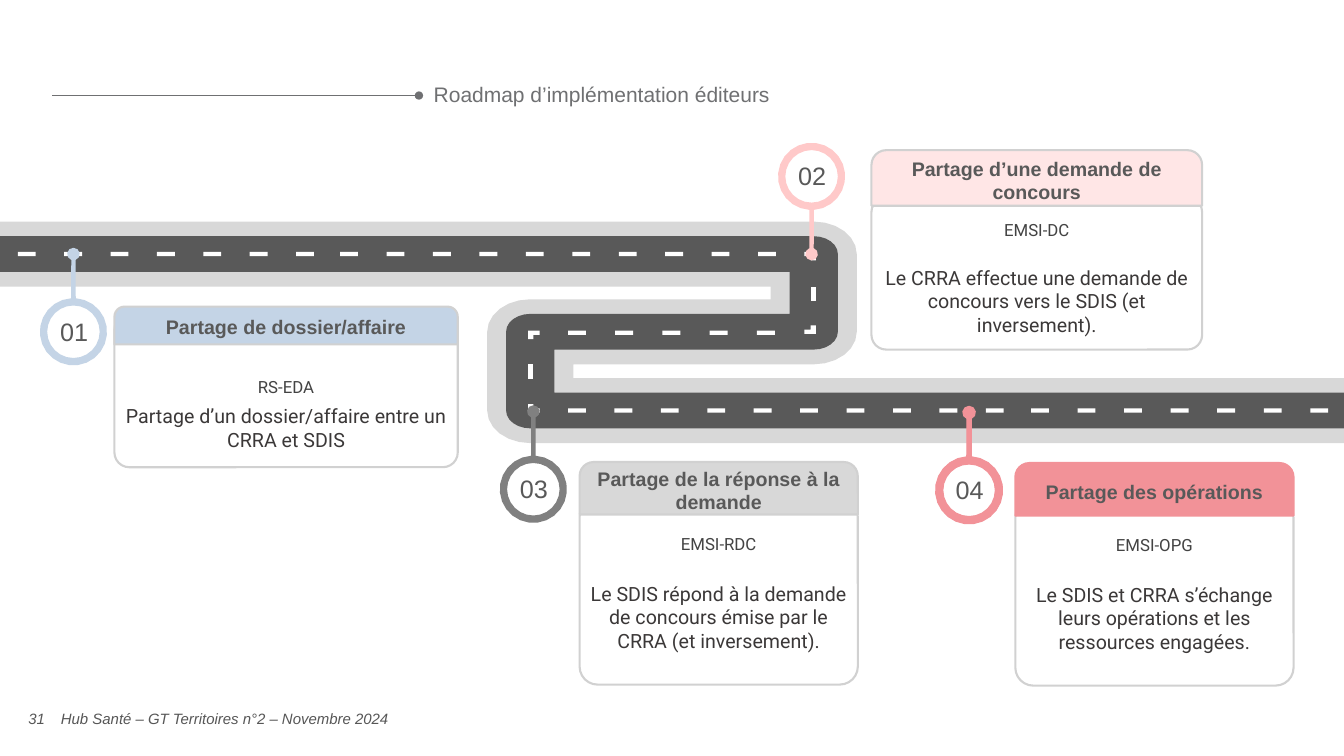
from math import cos, radians, sin

from lxml.etree import SubElement
from pptx import Presentation
from pptx.dml.color import RGBColor
from pptx.enum.shapes import MSO_CONNECTOR, MSO_SHAPE
from pptx.enum.text import MSO_ANCHOR, PP_ALIGN
from pptx.oxml.ns import qn
from pptx.util import Pt

PX = 9525  # EMU per px, 96 px to the inch
FINE = 100  # freeform units per px

WHITE = RGBColor(0xFF, 0xFF, 0xFF)
ROADSIDE = RGBColor(0xD8, 0xD8, 0xD8)
ASPHALT = RGBColor(0x59, 0x59, 0x59)
BORDER = RGBColor(0xD1, 0xD1, 0xD1)
TITLE_GREY = RGBColor(0x6F, 0x70, 0x72)
FOOTER_GREY = RGBColor(0x57, 0x57, 0x57)
CODE_GREY = RGBColor(0x43, 0x43, 0x43)
BODY_GREY = RGBColor(0x3B, 0x38, 0x38)
BLUE = RGBColor(0xC4, 0xD4, 0xE6)
PINK = RGBColor(0xFF, 0xC9, 0xC9)
PALE_PINK = RGBColor(0xFF, 0xE6, 0xE6)
GREY = RGBColor(0x80, 0x80, 0x80)
CORAL = RGBColor(0xF2, 0x92, 0x98)

STYLES = {
    "title": (TITLE_GREY, {"name": "Arial", "size": Pt(15), "bold": False}),
    "footer": (FOOTER_GREY, {"name": "Arial", "size": Pt(10.7), "italic": True}),
    "header": (ASPHALT, {"name": "Arial", "size": Pt(14), "bold": True}),
    "number": (ASPHALT, {"name": "Arial", "size": Pt(18)}),
    "code": (CODE_GREY, {"name": "Roboto", "size": Pt(12)}),
    "description": (BODY_GREY, {"name": "Roboto", "size": Pt(14)}),
}


def arc(center_x, center_y, radius_x, radius_y, start, end):
    """Points along an ellipse, angles in degrees, y pointing down."""
    steps = abs(end - start) // (15 if radius_x > 10 else 40)
    angles = [radians(start + (end - start) * i / steps) for i in range(steps + 1)]
    return [(center_x + radius_x * cos(a), center_y + radius_y * sin(a)) for a in angles]


def write(shape, text, style, align, anchor, margins):
    """Fill a shape with one paragraph; margins are left, top, right, bottom in px."""
    frame = shape.text_frame
    frame.word_wrap = True
    frame.vertical_anchor = anchor
    for side, margin in zip(("left", "top", "right", "bottom"), margins):
        setattr(frame, f"margin_{side}", margin * PX)
    paragraph = frame.paragraphs[0]
    paragraph.text = text
    paragraph.alignment = align
    color, font_values = STYLES[style]
    for name, value in font_values.items():
        setattr(paragraph.font, name, value)
    paragraph.font.color.rgb = color
    return paragraph


presentation = Presentation()
presentation.slide_width = 1280 * PX
presentation.slide_height = 720 * PX
slide = presentation.slides.add_slide(presentation.slide_layouts[5])
shapes = slide.shapes

# Title and its rule
title = shapes.title
title.left, title.top, title.width, title.height = (v * PX for v in (403, 75, 741, 32))
paragraph = write(title, "Roadmap d’implémentation éditeurs", "title",
                  PP_ALIGN.LEFT, MSO_ANCHOR.MIDDLE, (10, 5, 10, 5))
paragraph.line_spacing = 0.9

rule = shapes.add_connector(MSO_CONNECTOR.STRAIGHT, 50 * PX, 91 * PX, 399 * PX, 91 * PX)
rule.line.color.rgb = TITLE_GREY
rule.line.width = Pt(0.5)
SubElement(rule._element.spPr.find(qn("a:ln")), qn("a:tailEnd"), type="oval")
SubElement(rule._element.spPr, qn("a:effectLst"))

# Footer
for left, width, text, align in (
    (15, 40, "31", PP_ALIGN.CENTER),
    (58, 970, "Hub Santé – GT Territoires n°2 – Novembre 2024", PP_ALIGN.LEFT),
):
    footer = shapes.add_textbox(left * PX, 665 * PX, width * PX, 38 * PX)
    write(footer, text, "footer", align, MSO_ANCHOR.MIDDLE, (0, 0, 0, 0))

# Road: three lanes joined by two bends
outlines = []  # fill, line width, contours
TOP, MIDDLE, BOTTOM = 242, 316, 391
BEND_LEFT, BEND_RIGHT = 505, 775
for half_x, half_y, color in ((41, 31, ROADSIDE), (23, 17, ASPHALT)):
    road = [
        (0, TOP - half_y), (0, TOP + half_y),
        (BEND_RIGHT - half_x, TOP + half_y), (BEND_RIGHT - half_x, MIDDLE - half_y),
        *arc(BEND_LEFT, MIDDLE, half_x, half_y, 270, 180),
        *arc(BEND_LEFT, BOTTOM, half_x, half_y, 180, 90),
        (1280, BOTTOM + half_y), (1280, BOTTOM - half_y),
        (BEND_LEFT + half_x, BOTTOM - half_y), (BEND_LEFT + half_x, MIDDLE + half_y),
        *arc(BEND_RIGHT, MIDDLE, half_x, half_y, 90, 0),
        *arc(BEND_RIGHT, TOP, half_x, half_y, 0, -90),
    ]
    outlines.append((color, 0, [road]))

# Lane markings: first and last dash, count, top, dash size
for first, last, count, top, width, height in (
    (541, 939, 10, 389, 17, 4),
    (982, 1248, 7, 389, 17, 4),
    (17, 282, 7, 240, 17, 4),
    (324, 722, 10, 240, 17, 4),
    (541, 721, 5, 315, 17, 4),
    (503, 503, 1, 347, 5, 14),
    (772, 772, 1, 273, 5, 14),
):
    step = (last - first) / max(count - 1, 1)
    lefts = [first + step * i for i in range(count)]
    outlines.append((WHITE, 0, [
        [(x, top), (x, top + height), (x + width, top + height), (x + width, top)]
        for x in lefts
    ]))

# Corner markings: outer corner and the directions of its arms
for x, y, right, down in ((503, 393, 1, -1), (503, 315, 1, 1),
                          (777, 318, -1, -1), (777, 240, -1, 1)):
    arms = ((0, 0), (11, 0), (11, 4), (5, 4), (5, 8), (0, 8))
    outlines.append((WHITE, 0, [[(x + right * a, y + down * b) for a, b in arms]]))

# Pins: ring center, side of the road (1 below, -1 above)
pins = (
    ("01", 70, 316, 1, BLUE, 0),
    ("02", 773, 168, -1, PINK, 0),
    ("03", 508, 466, 1, GREY, 0),
    ("04", 923, 467, 1, CORAL, 0.75),
)
for number, x, y, side, color, line_width in pins:
    pin = arc(x, y, 32, 32 * side, -86, 266) + arc(x, y - 74 * side, 6, 6 * side, 110, 430)
    hole = arc(x, y, 25, 25 * side, 360, 0)
    outlines.append((color, line_width, [pin, hole]))

# Draw road, markings and pins
for color, line_width, contours in outlines:
    builder = None
    for contour in contours:
        start, *points = [(x * FINE, y * FINE) for x, y in contour]
        if builder is None:
            builder = shapes.build_freeform(*start, scale=PX / FINE)
        else:
            builder.move_to(*start)
        builder.add_line_segments(points, close=True)
    shape = builder.convert_to_shape()
    shape.shadow.inherit = False
    shape.fill.solid()
    shape.fill.fore_color.rgb = color
    if line_width:
        shape.line.color.rgb = color
        shape.line.width = Pt(line_width)
    else:
        shape.line.fill.background()

for number, x, y, *_ in pins:
    label = shapes.add_textbox((x - 27) * PX, (y - 19) * PX, 55 * PX, 37 * PX)
    write(label, number, "number", PP_ALIGN.CENTER, MSO_ANCHOR.MIDDLE, (10, 10, 10, 10))

# Cards: left, width, header (top, height), body (top, height),
# space above the code, description (top, height), header fill and line, texts
cards = (
    (109, 327, (292, 36), (300, 145), 55, (380, 54), BLUE, BORDER,
     "Partage de dossier/affaire", "RS-EDA",
     "Partage d’un dossier/affaire entre un CRRA et SDIS"),
    (830, 315, (143, 53), (188, 145), 17, (248, 78), PALE_PINK, BORDER,
     "Partage d’une demande de concours", "EMSI-DC",
     "Le CRRA effectue une demande de concours vers le SDIS (et inversement)."),
    (552, 265, (440, 50), (475, 177), 28, (549, 78), ROADSIDE, BORDER,
     "Partage de la réponse à la demande", "EMSI-RDC",
     "Le SDIS répond à la demande de concours émise par le CRRA (et inversement)."),
    (967, 265, (441, 50), (476, 177), 28, (550, 78), CORAL, CORAL,
     "Partage des opérations", "EMSI-OPG",
     "Le SDIS et CRRA s’échange leurs opérations et les ressources engagées."),
)
for (left, width, header_box, body_box, code_space, description_box,
     header_fill, header_line, heading, code, description) in cards:
    for preset, (top, height), corners, fill, line, text, style, anchor, margin_top in (
        (MSO_SHAPE.ROUNDED_RECTANGLE, body_box, (0.097,), WHITE, BORDER,
         code, "code", MSO_ANCHOR.TOP, code_space),
        (MSO_SHAPE.ROUND_2_SAME_RECTANGLE, header_box, (0.267, 0), header_fill, header_line,
         heading, "header", MSO_ANCHOR.MIDDLE, 10),
    ):
        panel = shapes.add_shape(preset, left * PX, top * PX, width * PX, height * PX)
        for index, corner in enumerate(corners):
            panel.adjustments[index] = corner
        panel.shadow.inherit = False
        panel.fill.solid()
        panel.fill.fore_color.rgb = fill
        panel.line.color.rgb = line
        panel.line.width = Pt(1.5)
        write(panel, text, style, PP_ALIGN.CENTER, anchor, (10, margin_top, 10, 10))
    top, height = description_box
    box = shapes.add_textbox(left * PX, top * PX, width * PX, height * PX)
    write(box, description, "description", PP_ALIGN.CENTER, MSO_ANCHOR.TOP, (10, 5, 10, 5))

presentation.save("out.pptx")
